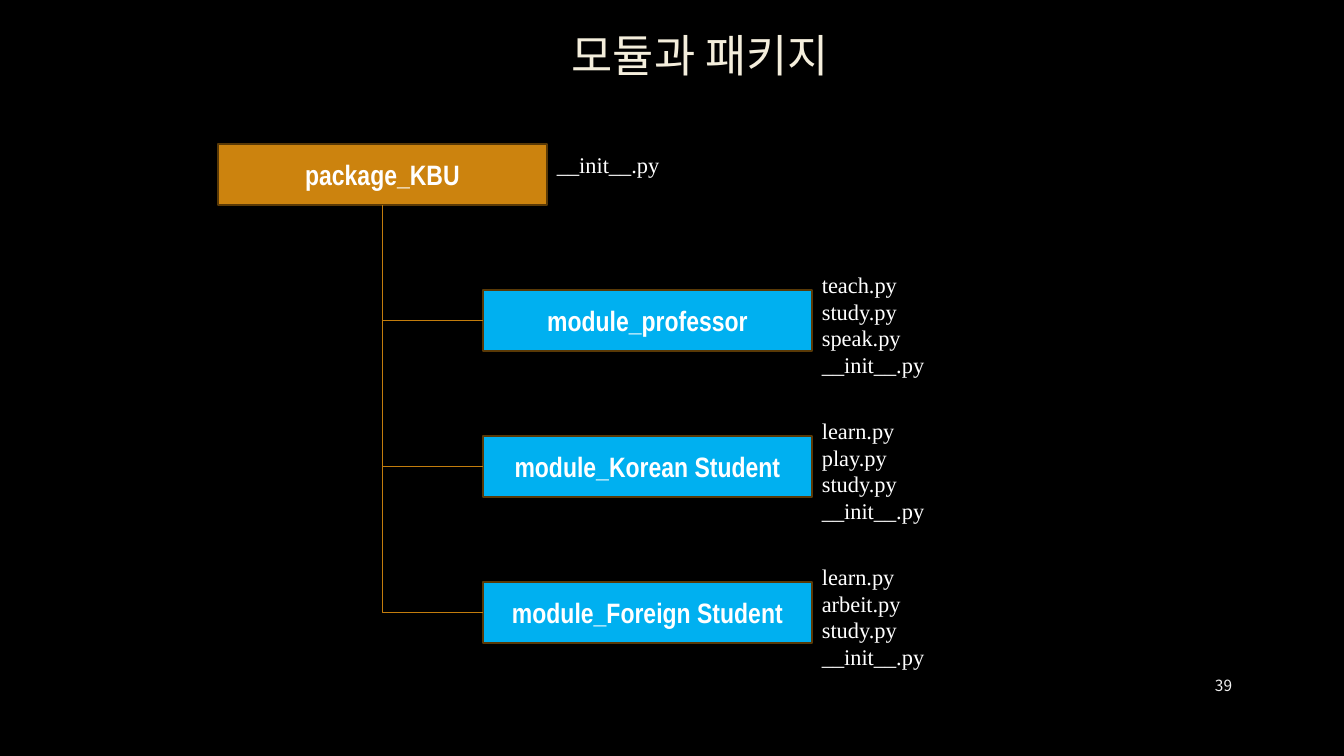
from lxml import etree
from pptx import Presentation
from pptx.dml.color import RGBColor
from pptx.enum.shapes import MSO_CONNECTOR as Connector, MSO_SHAPE as Shape
from pptx.enum.text import MSO_ANCHOR as Anchor, PP_ALIGN as Align
from pptx.oxml import parse_xml
from pptx.oxml.ns import nsdecls, qn
from pptx.util import Pt

EMU_PER_PX = 12192000 / 1344
COLORS = {
    "background": "000000",
    "title": "F4EEDC",
    "title_outline": "404040",
    "number": "F2F2F2",
    "text": "FFFFFF",
    "package": "CC830E",
    "module": "00B0F0",
    "border": "593906",
    "branch": "C37D0D",
}
KOREAN, LABEL, FILES = "Noto Sans CJK KR", "Arial Narrow", "Times New Roman"


def px(value):
    return round(value * EMU_PER_PX)


def rgb(name):
    return RGBColor.from_string(COLORS[name])


class Deck:
    def __init__(self, width, height):
        self.presentation = Presentation()
        self.presentation.slide_width = px(width)
        self.presentation.slide_height = px(height)
        self.slide = self.presentation.slides.add_slide(
            self.presentation.slide_layouts[5])
        fill = self.slide.background.fill
        fill.solid()
        fill.fore_color.rgb = rgb("background")

    def set_text(self, shape, lines, size, font, color, align=Align.LEFT, bold=False):
        frame = shape.text_frame
        frame.word_wrap = True
        frame.vertical_anchor = Anchor.MIDDLE
        frame.text = "\n".join(lines)
        for paragraph in frame.paragraphs:
            paragraph.alignment = align
            paragraph.font.size = Pt(size)
            paragraph.font.name = font
            paragraph.font.bold = bold
            paragraph.font.color.rgb = rgb(color)
            if font == KOREAN:
                style = paragraph.font._element
                etree.SubElement(style, qn("a:ea")).set("typeface", font)

    def title(self, text, left, top, width, height):
        title = self.slide.shapes.title
        title.left, title.top = px(left), px(top)
        title.width, title.height = px(width), px(height)
        self.set_text(title, [text], 32, KOREAN, "title", Align.CENTER)
        heading = title.text_frame.paragraphs[0]
        heading.line_spacing = 0.9
        # Faint outline around the letters
        outline = parse_xml(
            f'<a:ln {nsdecls("a")} w="9525"><a:solidFill>'
            f'<a:srgbClr val="{COLORS["title_outline"]}"><a:alpha val="10000"/>'
            '</a:srgbClr></a:solidFill></a:ln>')
        heading.runs[0]._r.get_or_add_rPr().insert(0, outline)

    def text(self, lines, left, top, width, height, size, font, color, align=Align.LEFT):
        box = self.slide.shapes.add_textbox(px(left), px(top), px(width), px(height))
        self.set_text(box, lines, size, font, color, align)

    def box(self, label, left, top, width, height, fill):
        box = self.slide.shapes.add_shape(
            Shape.RECTANGLE, px(left), px(top), px(width), px(height))
        box.shadow.inherit = False
        box.fill.solid()
        box.fill.fore_color.rgb = rgb(fill)
        box.line.color.rgb = rgb("border")
        box.line.width = Pt(1.25)
        self.set_text(box, [label], 20, LABEL, "text", Align.CENTER, bold=True)
        return box

    def branch(self, parent, child):
        """Run down from the parent's bottom, then right to the child's side."""
        x, y = parent.left + parent.width // 2, parent.top + parent.height
        run, drop = child.left - x, child.top + child.height // 2 - y
        branch = self.slide.shapes.add_connector(
            Connector.ELBOW, x, y, x + run, y + drop)
        branch.begin_connect(parent, 2)
        branch.end_connect(child, 1)
        branch.line.color.rgb = rgb("branch")
        branch.line.width = Pt(0.75)
        # A single bend, turned by 270 degrees and mirrored
        branch.left, branch.top = x + (run - drop) // 2, y + (drop - run) // 2
        branch.width, branch.height = drop, run
        properties = branch._element.spPr
        properties.find(qn("a:prstGeom")).set("prst", "bentConnector2")
        frame = properties.find(qn("a:xfrm"))
        frame.set("rot", "16200000")
        frame.set("flipH", "1")
        etree.SubElement(properties, qn("a:effectLst"))


BOX_WIDTH, BOX_HEIGHT = 329, 61
MODULE_LEFT, MODULE_TOP, MODULE_STEP = 483, 290, 146
INIT = "__init__.py"
MODULES = {
    "module_professor": ["teach.py", "study.py", "speak.py", INIT],
    "module_Korean Student": ["learn.py", "play.py", "study.py", INIT],
    "module_Foreign Student": ["learn.py", "arbeit.py", "study.py", INIT],
}


def main():
    deck = Deck(1344, 756)

    # Title and page number
    deck.title("모듈과 패키지", 101, 15, 1199, 85)
    deck.text(["39"], 1159, 665, 83, 40, 11, KOREAN, "number", Align.RIGHT)

    # Package
    package = deck.box("package_KBU", 218, 144, BOX_WIDTH, BOX_HEIGHT, "package")
    deck.text([INIT], 547, 134, BOX_WIDTH, BOX_HEIGHT, 16, FILES, "text")

    # Modules with their files
    for row, (name, files) in enumerate(MODULES.items()):
        top = MODULE_TOP + row * MODULE_STEP
        module = deck.box(name, MODULE_LEFT, top, BOX_WIDTH, BOX_HEIGHT, "module")
        deck.text(files, MODULE_LEFT + BOX_WIDTH, top + 4, BOX_WIDTH, BOX_HEIGHT,
                  16, FILES, "text")
        deck.branch(package, module)

    deck.presentation.save("out.pptx")


if __name__ == "__main__":
    main()
